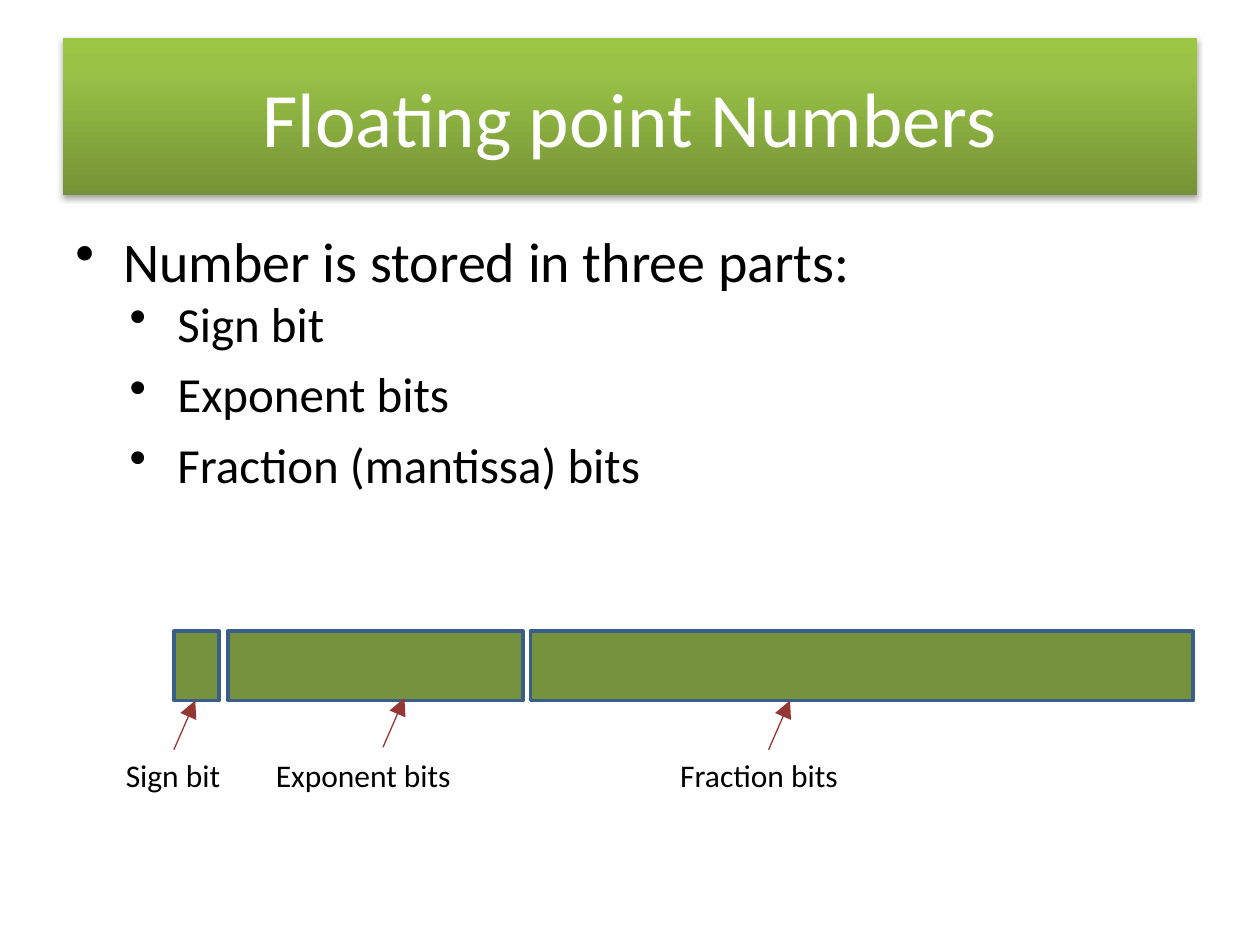
from typing import NamedTuple

from lxml.etree import SubElement
from pptx import Presentation
from pptx.dml.color import RGBColor
from pptx.enum.shapes import MSO_CONNECTOR, MSO_SHAPE
from pptx.enum.text import MSO_ANCHOR, PP_ALIGN
from pptx.oxml import parse_xml
from pptx.oxml.ns import nsdecls, qn
from pptx.slide import Slide
from pptx.util import Inches, Pt

FONT = "Calibri"
FIELD_TOP, FIELD_HEIGHT = 5.01, 0.55
LABEL_TOP, LABEL_HEIGHT = 5.95, 0.4
ARROW_RUN, ARROW_RISE = 0.17, 0.39


class Field(NamedTuple):
    """One part of the number, with its label and the start of its arrow."""
    label: str
    left: float
    width: float
    label_left: float
    label_width: float
    arrow_left: float
    arrow_top: float


class Bullet(NamedTuple):
    text: str
    size: int
    indent: float
    space_before: float = 0


FIELDS = [
    Field("Sign bit", 1.38, 0.36, 0.9, 0.96, 1.38, 5.95),
    Field("Exponent bits", 1.81, 2.34, 2.09, 1.61, 3.04, 5.93),
    Field("Fraction bits", 4.21, 5.26, 5.3, 1.53, 6.1, 5.95),
]
BULLETS = [
    Bullet("Number is stored in three parts:", 32, 0.38),
    Bullet("Sign bit", 28, 0.81),
    Bullet("Exponent bits", 28, 0.81, 6.4),
    Bullet("Fraction (mantissa) bits", 28, 0.81, 6.4),
]
GRADIENT_STOPS = [(0, "759336"), (80, "99C247"), (100, "9BC545")]


def color(value: str) -> RGBColor:
    return RGBColor.from_string(value)


def style(para, size: float, value: str = "000000") -> None:
    para.font.name = FONT
    para.font.size = Pt(size)
    para.font.color.rgb = color(value)


def add_title(page: Slide, text: str) -> None:
    title = page.shapes.title
    title.left, title.top = Inches(0.5), Inches(0.3)
    title.width, title.height = Inches(9), Inches(1.25)
    title.text_frame.text = text
    title.text_frame.vertical_anchor = MSO_ANCHOR.MIDDLE
    para = title.text_frame.paragraphs[0]
    para.alignment = PP_ALIGN.CENTER
    style(para, 44, "FFFFFF")

    stops = "".join(
        f'<a:gs pos="{position * 1000}"><a:srgbClr val="{value}"/></a:gs>'
        for position, value in GRADIENT_STOPS
    )
    properties = title.element.spPr
    properties.append(parse_xml(
        f'<a:gradFill {nsdecls("a")} rotWithShape="1"><a:gsLst>{stops}</a:gsLst>'
        '<a:lin ang="16200000" scaled="0"/></a:gradFill>'
    ))
    properties.append(parse_xml(
        f'<a:effectLst {nsdecls("a")}><a:outerShdw blurRad="{Pt(3.1)}" dist="{Pt(1.8)}" '
        'dir="5400000" rotWithShape="0"><a:srgbClr val="000000">'
        '<a:alpha val="35000"/></a:srgbClr></a:outerShdw></a:effectLst>'
    ))


def add_bullets(page: Slide, bullets: list[Bullet]) -> None:
    box = page.shapes.add_textbox(Inches(0.5), Inches(1.75), Inches(9.3), Inches(4.95))
    frame = box.text_frame
    frame.word_wrap = True
    for index, bullet in enumerate(bullets):
        para = frame.add_paragraph() if index else frame.paragraphs[0]
        para.text = bullet.text
        para.level = 1 if index else 0
        para.space_before = Pt(bullet.space_before)
        style(para, bullet.size)
        properties = para._p.get_or_add_pPr()
        properties.set("marL", str(Inches(bullet.indent)))
        properties.set("indent", str(Inches(-0.38)))
        marker = parse_xml(f'<a:buChar {nsdecls("a")} char="•"/>')
        properties.find(qn("a:defRPr")).addprevious(marker)


def add_field(page: Slide, field: Field) -> None:
    bar = page.shapes.add_shape(
        MSO_SHAPE.RECTANGLE, Inches(field.left), Inches(FIELD_TOP),
        Inches(field.width), Inches(FIELD_HEIGHT),
    )
    bar.shadow.inherit = False
    bar.fill.solid()
    bar.fill.fore_color.rgb = color("76923C")
    bar.line.color.rgb = color("395E89")
    bar.line.width = Pt(2)


def add_label(page: Slide, field: Field) -> None:
    box = page.shapes.add_textbox(
        Inches(field.label_left), Inches(LABEL_TOP),
        Inches(field.label_width), Inches(LABEL_HEIGHT),
    )
    box.text_frame.word_wrap = False
    para = box.text_frame.paragraphs[0]
    para.text = field.label
    style(para, 18)


def add_arrow(page: Slide, field: Field) -> None:
    arrow = page.shapes.add_connector(
        MSO_CONNECTOR.STRAIGHT, Inches(field.arrow_left), Inches(field.arrow_top),
        Inches(field.arrow_left + ARROW_RUN), Inches(field.arrow_top - ARROW_RISE),
    )
    arrow.line.color.rgb = color("953734")
    arrow.line.width = Pt(0.75)
    properties = arrow.element.spPr
    SubElement(properties.find(qn("a:ln")), qn("a:tailEnd"), type="triangle", w="lg", len="lg")
    SubElement(properties, qn("a:effectLst"))


def main() -> None:
    deck = Presentation()
    deck.slide_width, deck.slide_height = Inches(10), Inches(7.5)
    page = deck.slides.add_slide(deck.slide_layouts[5])
    add_title(page, "Floating point Numbers")
    add_bullets(page, BULLETS)
    for draw in (add_field, add_label, add_arrow):
        for field in FIELDS:
            draw(page, field)
    deck.save("out.pptx")


if __name__ == "__main__":
    main()
